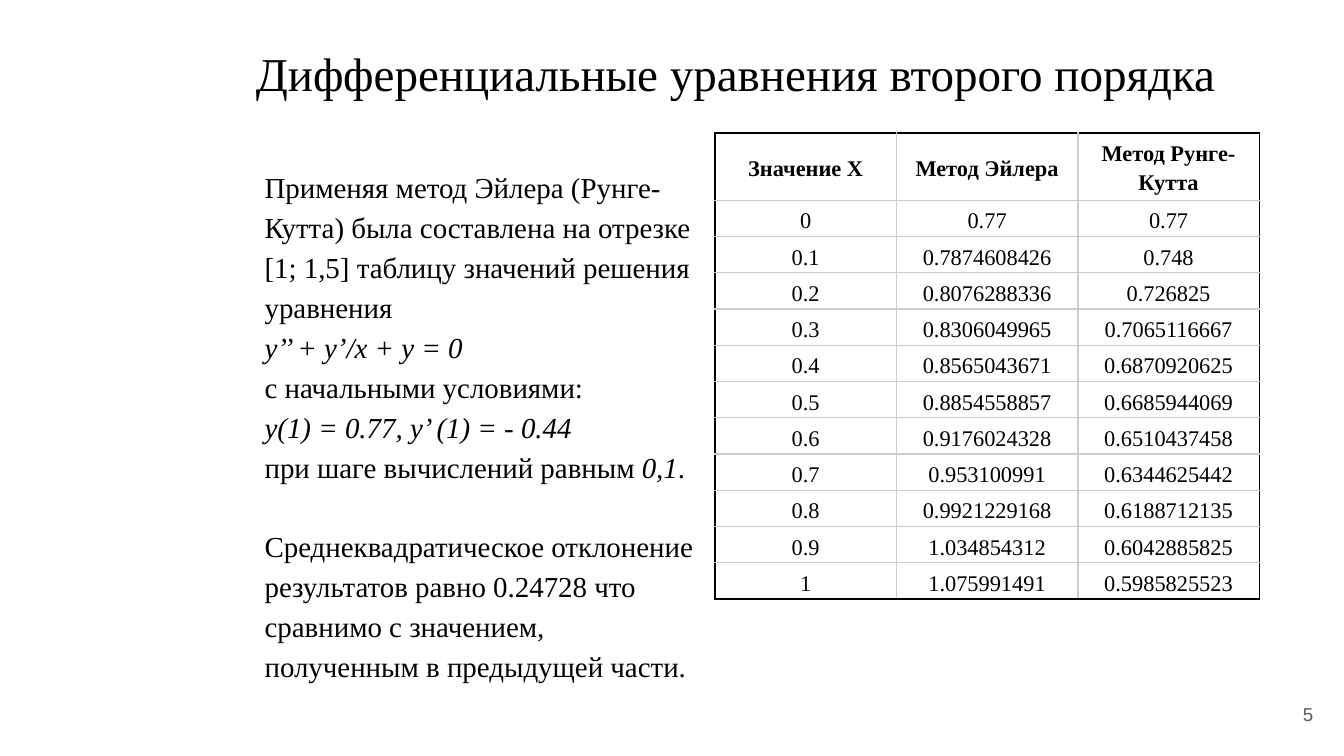
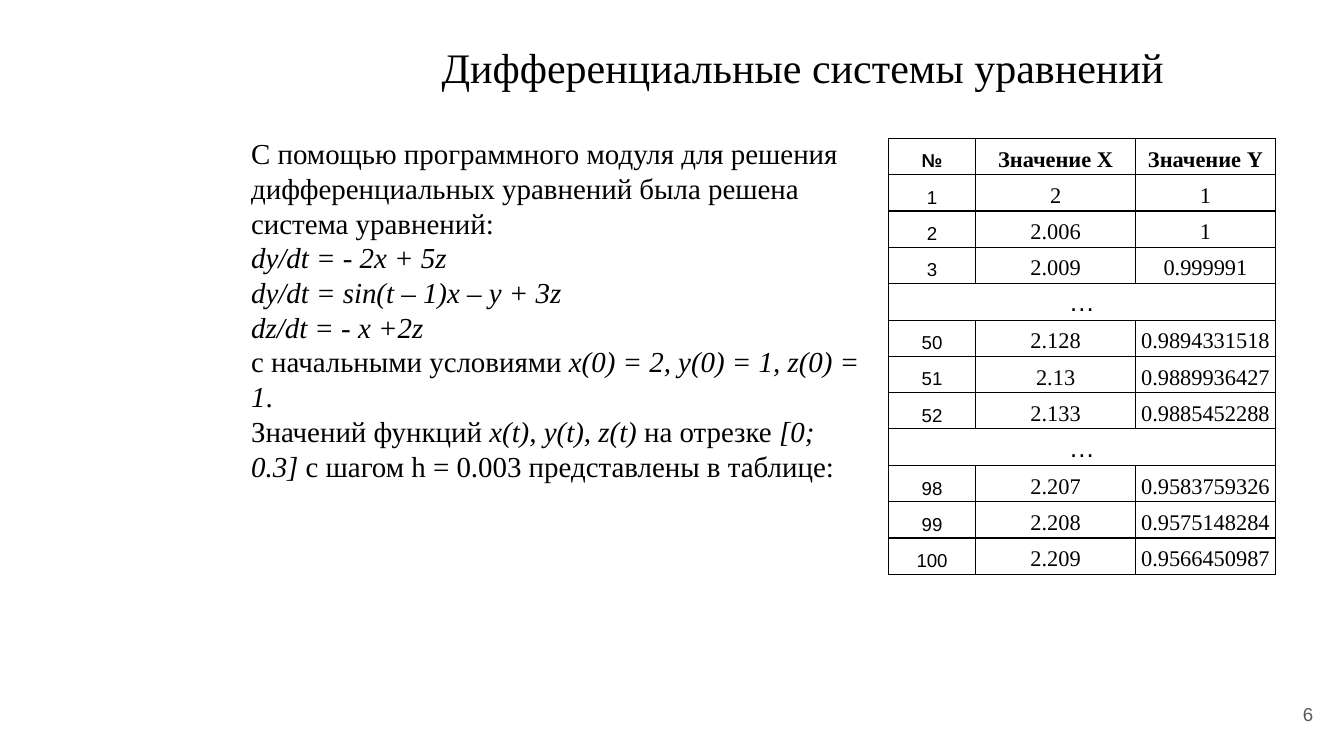
from dataclasses import dataclass

from lxml import etree
from pptx import Presentation
from pptx.dml.color import RGBColor
from pptx.enum.text import MSO_ANCHOR, PP_ALIGN
from pptx.oxml.ns import qn
from pptx.util import Inches, Pt

TOP, MIDDLE, BOTTOM = MSO_ANCHOR.TOP, MSO_ANCHOR.MIDDLE, MSO_ANCHOR.BOTTOM
LEFT, CENTER, RIGHT = PP_ALIGN.LEFT, PP_ALIGN.CENTER, PP_ALIGN.RIGHT


@dataclass(frozen=True)
class Theme:
    ink: str = "000000"
    muted: str = "595959"
    grid: str = "CCCCCC"
    serif: str = "Times New Roman"
    sans: str = "Arial"
    body: float = 15.5
    cell: float = 12
    small: float = 10
    ellipsis: float = 14
    spacing: float = 1.15


THEME = Theme()
ELLIPSIS = "…"

# Body text: each paragraph is a list of (text, italic) runs
EQUATION_TEXT = [
    [("Применяя метод Эйлера (Рунге-Кутта) была составлена на отрезке "
      "[1; 1,5] таблицу значений решения уравнения", False)],
    [("y’’ + y’/x + y = 0", True)],
    [("с начальными условиями:", False)],
    [("y(1) = 0.77, y’ (1) = - 0.44", True)],
    [("при шаге вычислений равным ", False), ("0,1", True), (".", False)],
    [("Среднеквадратическое отклонение результатов равно 0.24728 что "
      "сравнимо с значением, полученным в предыдущей части.", False)],
]
SYSTEM_TEXT = [
    [("С помощью программного модуля для решения дифференциальных "
      "уравнений была решена система уравнений:", False)],
    [("dy/dt = - 2x + 5z", True)],
    [("dy/dt = sin(t – 1)x – y + 3z", True)],
    [("dz/dt = - x +2z", True)],
    [("c начальными условиями ", False),
     ("x(0) = 2, y(0) = 1, z(0) = 1", True), (".", False)],
    [("Значений функций ", False), ("x(t), y(t), z(t)", True),
     (" на отрезке ", False), ("[0; 0.3]", True),
     (" с шагом h = 0.003 представлены в таблице:", False)],
]

METHOD_ROWS = [
    ("Значение X", "Метод Эйлера", "Метод Рунге-Кутта"),
    ("0", "0.77", "0.77"),
    ("0.1", "0.7874608426", "0.748"),
    ("0.2", "0.8076288336", "0.726825"),
    ("0.3", "0.8306049965", "0.7065116667"),
    ("0.4", "0.8565043671", "0.6870920625"),
    ("0.5", "0.8854558857", "0.6685944069"),
    ("0.6", "0.9176024328", "0.6510437458"),
    ("0.7", "0.953100991", "0.6344625442"),
    ("0.8", "0.9921229168", "0.6188712135"),
    ("0.9", "1.034854312", "0.6042885825"),
    ("1", "1.075991491", "0.5985825523"),
]
SYSTEM_ROWS = [
    ("№", "Значение X", "Значение Y"),
    ("1", "2", "1"),
    ("2", "2.006", "1"),
    ("3", "2.009", "0.999991"),
    (ELLIPSIS, "", ""),
    ("50", "2.128", "0.9894331518"),
    ("51", "2.13", "0.9889936427"),
    ("52", "2.133", "0.9885452288"),
    (ELLIPSIS, "", ""),
    ("98", "2.207", "0.9583759326"),
    ("99", "2.208", "0.9575148284"),
    ("100", "2.209", "0.9566450987"),
]


def style_run(r, size, font=THEME.serif, color=THEME.ink, bold=False, italic=False):
    r.font.size = Pt(size)
    r.font.name = font
    r.font.bold = bold
    r.font.italic = italic
    r.font.color.rgb = RGBColor.from_string(color)


def add_text(s, box, anchor=TOP):
    """Add a wrapping text box with even insets and return its frame."""
    tf = s.shapes.add_textbox(*map(Inches, box)).text_frame
    tf.word_wrap = True
    tf.vertical_anchor = anchor
    tf.margin_left = tf.margin_right = tf.margin_top = tf.margin_bottom = Inches(0.1)
    return tf


def indent(p, inches):
    pPr = p._p.get_or_add_pPr()
    pPr.set("marL", str(Inches(inches)))
    pPr.set("indent", "0")


def add_line(s, box, text, align, anchor=TOP, **style):
    """Add one styled line of text and return its paragraph."""
    p = add_text(s, box, anchor).paragraphs[0]
    p.text = text
    p.alignment = align
    style_run(p.runs[0], **style)
    return p


def add_frame(prs, title, title_box, title_size, number):
    """Start a slide with its title and page number."""
    s = prs.slides.add_slide(prs.slide_layouts[6])
    p = add_line(s, title_box, title, CENTER, size=title_size)
    add_line(s, (9.27, 5.1, 0.6, 0.43), str(number), RIGHT, MIDDLE,
             size=THEME.small, font=THEME.sans, color=THEME.muted)
    return s, p


def add_body(s, box, paragraphs, spacing, anchor=TOP, left=0):
    """Fill a box with paragraphs of upright and italic runs."""
    tf = add_text(s, box, anchor)
    for i, runs in enumerate(paragraphs):
        p = tf.add_paragraph() if i else tf.paragraphs[0]
        p.alignment = LEFT
        p.line_spacing = spacing
        if left:
            indent(p, left)
        for text, italic in runs:
            r = p.add_run()
            r.text = text
            style_run(r, THEME.body, italic=italic)
    return tf


def set_borders(cell, colors):
    """Draw left, right, top and bottom cell borders."""
    tcPr = cell._tc.get_or_add_tcPr()
    for i, (side, color) in enumerate(zip("LRTB", colors)):
        ln = etree.Element(qn(f"a:ln{side}"), w=str(Pt(0.75)))
        fill = etree.SubElement(ln, qn("a:solidFill"))
        etree.SubElement(fill, qn("a:srgbClr"), val=color)
        tcPr.insert(i, ln)


def add_grid(s, left, top, rows, widths, heights, inner, header_anchor, index_font):
    """Add a centred table with a black outline and inner lines in one colour."""
    last_row, last_col = len(rows) - 1, len(widths) - 1
    table = s.shapes.add_table(len(rows), len(widths), Inches(left), Inches(top),
                               Inches(sum(widths)), Inches(sum(heights))).table
    table.first_row = table.horz_banding = False
    for col, width in zip(table.columns, widths):
        col.width = Inches(width)

    for i, (values, height) in enumerate(zip(rows, heights)):
        table.rows[i].height = Inches(height)
        is_gap = values[0] == ELLIPSIS
        if is_gap:
            table.cell(i, 0).merge(table.cell(i, last_col))
        for j, value in enumerate(values):
            cell = table.cell(i, j)
            cell.fill.background()
            edges = (j == 0, j == last_col, i == 0, i == last_row)
            set_borders(cell, [THEME.ink if edge else inner for edge in edges])
            cell.margin_left = cell.margin_right = Inches(0.03)
            cell.margin_top = cell.margin_bottom = Inches(0.02)
            cell.vertical_anchor = BOTTOM if i else header_anchor
            if not value:
                continue
            p = cell.text_frame.paragraphs[0]
            p.text = value
            p.alignment = CENTER
            p.line_spacing = 1.0 if is_gap else THEME.spacing
            font = index_font if j == 0 else THEME.serif
            size = THEME.small if font == THEME.sans else THEME.cell
            style_run(p.runs[0], THEME.ellipsis if is_gap else size, font, bold=i == 0)


def build_equation_slide(prs):
    s, _ = add_frame(prs, "Дифференциальные уравнения второго порядка",
                     (1.33, 0.23, 8.29, 0.63), 25.2, 5)
    heights = [0.44] + [0.24] * (len(METHOD_ROWS) - 1)
    add_grid(s, 5.32, 0.99, METHOD_ROWS, [1.35] * 3, heights,
             THEME.grid, MIDDLE, THEME.serif)
    tf = add_body(s, (1.37, 0.99, 3.95, 4.33), EQUATION_TEXT, THEME.spacing,
                  MIDDLE, left=0.5)
    # The conclusion stands one line apart
    tf.paragraphs[-1].space_before = Pt(21.3)


def build_system_slide(prs):
    s, title = add_frame(prs, "Дифференциальные системы уравнений",
                         (1.58, 0.15, 8.29, 0.63), 22.5, 6)
    indent(title, 0.5)
    title.line_spacing = THEME.spacing
    add_body(s, (1.77, 0.91, 4.79, 2.81), SYSTEM_TEXT, 1.0)
    heights = [0.22 if row[0] == ELLIPSIS else 0.25 for row in SYSTEM_ROWS]
    add_grid(s, 6.61, 1.03, SYSTEM_ROWS, [0.65, 1.19, 1.04], heights,
             THEME.ink, BOTTOM, THEME.sans)


def main():
    prs = Presentation()
    # Widescreen, 16:9
    prs.slide_width = Inches(10)
    prs.slide_height = prs.slide_width * 9 // 16
    build_equation_slide(prs)
    build_system_slide(prs)
    prs.save("out.pptx")


if __name__ == "__main__":
    main()
